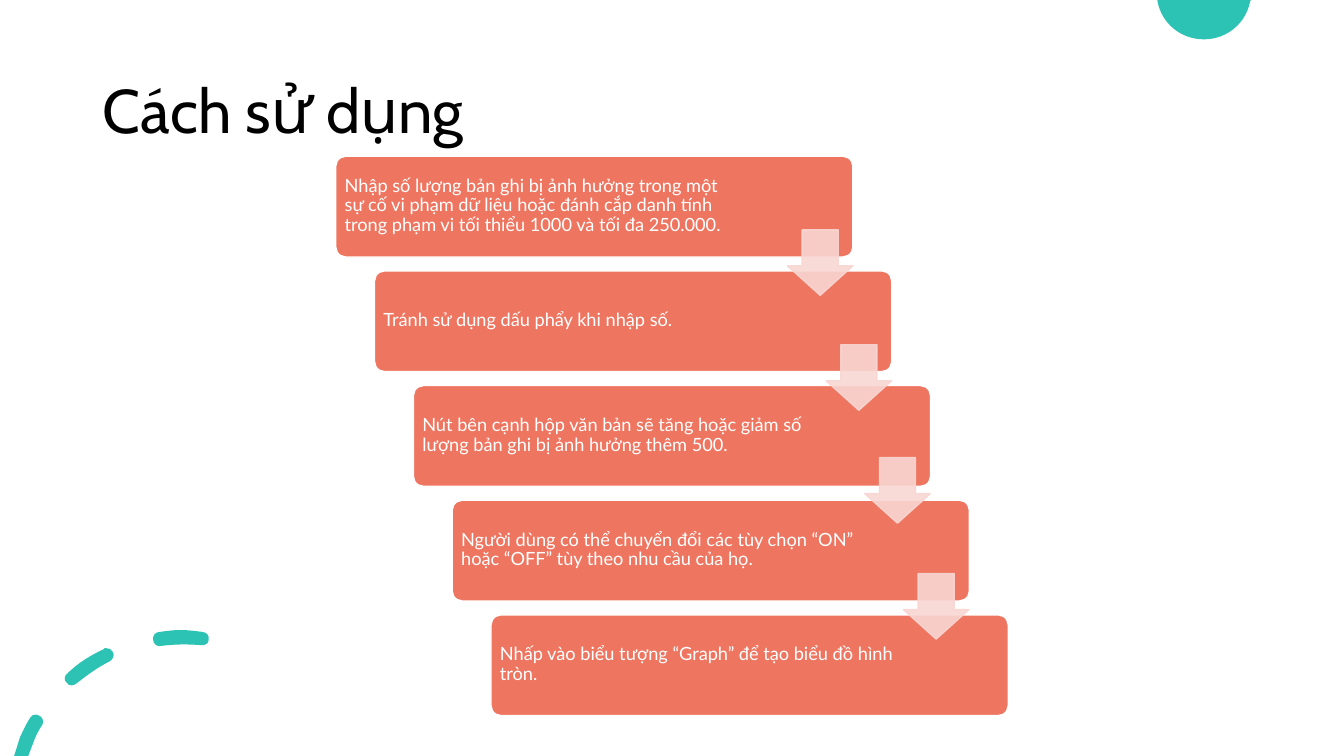
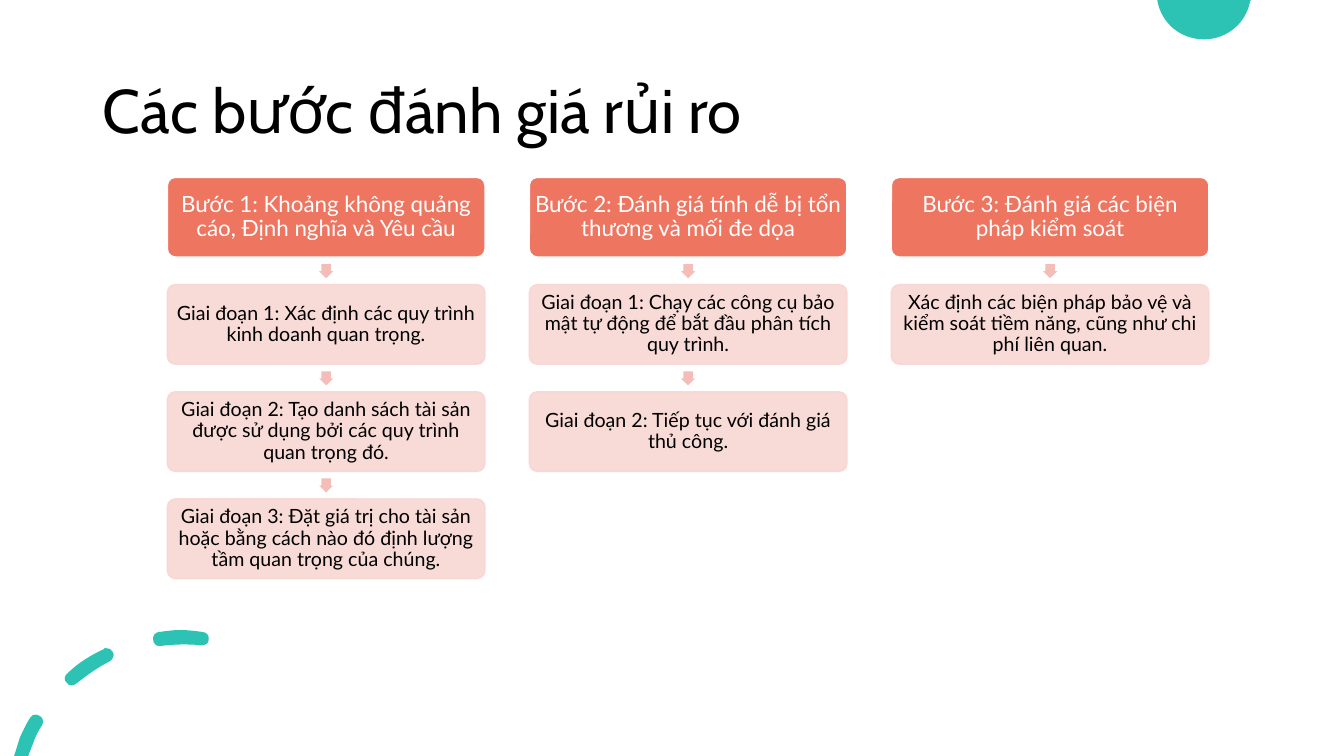
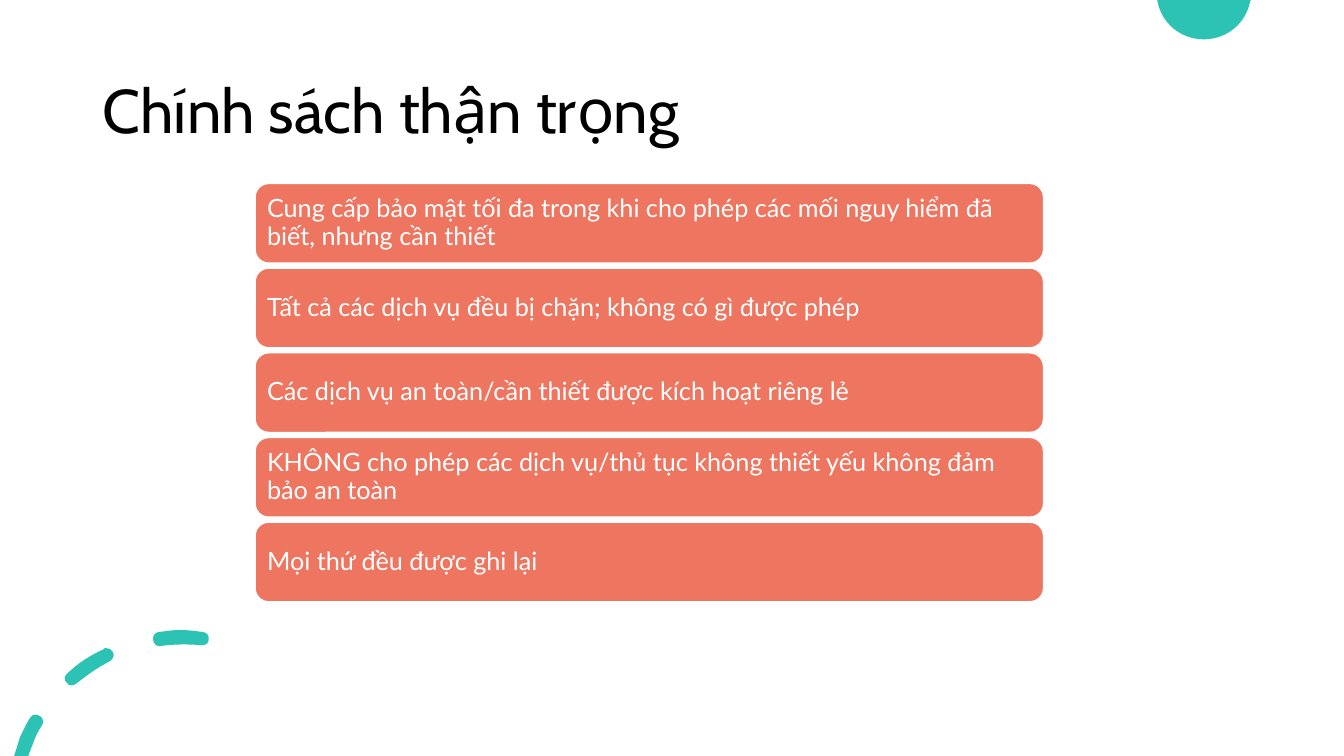
from collections import namedtuple

from lxml import etree
from pptx import Presentation
from pptx import util as u
from pptx.dml.color import RGBColor
from pptx.enum import shapes, text
from pptx.oxml.ns import qn

Theme = namedtuple("Theme", "teal coral pink arrow white black heading body title_size step_size head_size stage_size policy_size")
THEME = Theme(
    teal="2CC3B4", coral="EE7661", pink="F8D6D2", arrow="F5BDB7", white="FFFFFF", black="000000",
    heading="Cabin", body="Lato",
    title_size=44, step_size=13, head_size=16, stage_size=14, policy_size=18,
)

USAGE = (
    "Cách sử dụng",
    [
        "Nhập số lượng bản ghi bị ảnh hưởng trong một sự cố vi phạm dữ liệu hoặc đánh cắp danh tính trong phạm vi tối thiểu 1000 và tối đa 250.000.",
        "Tránh sử dụng dấu phẩy khi nhập số.",
        "Nút bên cạnh hộp văn bản sẽ tăng hoặc giảm số lượng bản ghi bị ảnh hưởng thêm 500.",
        "Người dùng có thể chuyển đổi các tùy chọn “ON” hoặc “OFF” tùy theo nhu cầu của họ.",
        "Nhấp vào biểu tượng “Graph” để tạo biểu đồ hình tròn.",
    ],
)

ASSESSMENT = (
    "Các bước đánh giá rủi ro",
    [
        [
            "Bước 1: Khoảng không quảng cáo, Định nghĩa và Yêu cầu",
            "Giai đoạn 1: Xác định các quy trình kinh doanh quan trọng.",
            "Giai đoạn 2: Tạo danh sách tài sản được sử dụng bởi các quy trình quan trọng đó.",
            "Giai đoạn 3: Đặt giá trị cho tài sản hoặc bằng cách nào đó định lượng tầm quan trọng của chúng.",
        ],
        [
            "Bước 2: Đánh giá tính dễ bị tổn thương và mối đe dọa",
            "Giai đoạn 1: Chạy các công cụ bảo mật tự động để bắt đầu phân tích quy trình.",
            "Giai đoạn 2: Tiếp tục với đánh giá thủ công.",
        ],
        [
            "Bước 3: Đánh giá các biện pháp kiểm soát",
            "Xác định các biện pháp bảo vệ và kiểm soát tiềm năng, cũng như chi phí liên quan.",
        ],
    ],
)

POLICY = (
    "Chính sách thận trọng",
    [
        "Cung cấp bảo mật tối đa trong khi cho phép các mối nguy hiểm đã biết, nhưng cần thiết",
        "Tất cả các dịch vụ đều bị chặn; không có gì được phép",
        "Các dịch vụ an toàn/cần thiết được kích hoạt riêng lẻ",
        "KHÔNG cho phép các dịch vụ/thủ tục không thiết yếu không đảm bảo an toàn",
        "Mọi thứ đều được ghi lại",
    ],
)

TOP_DISC = [
    [(11.48, 0), (12.41, 0), (12.4, 0.01), (12.36, 0.23, 12.17, 0.39, 11.94, 0.39),
     (11.71, 0.39, 11.52, 0.23, 11.48, 0.01)],
]
DASHED_ARC = [
    [(0.36, 7.09), (0.34, 7.08, 0.31, 7.1, 0.3, 7.12), (0.26, 7.18, 0.23, 7.25, 0.2, 7.31),
     (0.14, 7.5), (0.28, 7.5), (0.33, 7.37), (0.35, 7.31, 0.38, 7.25, 0.42, 7.19),
     (0.44, 7.16, 0.42, 7.11, 0.39, 7.1), (0.38, 7.09, 0.37, 7.09, 0.36, 7.09)],
    [(1.05, 6.43), (1.04, 6.43, 1.03, 6.43, 1.03, 6.44), (0.9, 6.5, 0.77, 6.58, 0.67, 6.68),
     (0.64, 6.7, 0.63, 6.75, 0.66, 6.77), (0.67, 6.79, 0.69, 6.8, 0.71, 6.8),
     (0.73, 6.8, 0.74, 6.79, 0.76, 6.78), (0.86, 6.7, 0.97, 6.62, 1.09, 6.56),
     (1.12, 6.54, 1.14, 6.5, 1.12, 6.47), (1.11, 6.44, 1.08, 6.43, 1.05, 6.43)],
    [(1.79, 6.25), (1.72, 6.25, 1.65, 6.26, 1.58, 6.27), (1.54, 6.27, 1.51, 6.31, 1.52, 6.35),
     (1.52, 6.38, 1.55, 6.41, 1.58, 6.41), (1.73, 6.39, 1.86, 6.39, 1.99, 6.4),
     (2.03, 6.41, 2.07, 6.38, 2.07, 6.35), (2.08, 6.31, 2.05, 6.27, 2.01, 6.27),
     (1.94, 6.26, 1.86, 6.25, 1.79, 6.25)],
]


def spread(first, last, count):
    return [first + (last - first) * i / (count - 1) for i in range(count)]


def paint(shape, fill, line=None, opacity=100):
    shape.shadow.inherit = False
    shape.fill.solid()
    shape.fill.fore_color.rgb = RGBColor.from_string(fill)
    if line:
        shape.line.color.rgb = RGBColor.from_string(line)
        shape.line.width = u.Pt(1)
    else:
        shape.line.fill.background()
    if opacity < 100:
        for color in shape._element.spPr.iter(qn("a:srgbClr")):
            etree.SubElement(color, qn("a:alpha")).set("val", str(opacity * 1000))


def bend(shape, outlines):
    segments = [segment for outline in outlines for segment in outline[1:]]
    for straight, segment in zip(list(shape._element.iter(qn("a:lnTo"))), segments):
        if len(segment) == 2:
            continue
        straight.tag = qn("a:cubicBezTo")
        for i in (2, 0):
            control = etree.Element(qn("a:pt"))
            control.set("x", str(u.Inches(segment[i]) - shape.left))
            control.set("y", str(u.Inches(segment[i + 1]) - shape.top))
            straight.insert(0, control)


def add_ornament(page, outlines):
    builder = None
    for outline in outlines:
        start, *ends = [tuple(map(u.Inches, segment[-2:])) for segment in outline]
        if builder is None:
            builder = page.shapes.build_freeform(*start)
        else:
            builder.move_to(*start)
        builder.add_line_segments(ends, close=True)
    shape = builder.convert_to_shape()
    bend(shape, outlines)
    paint(shape, THEME.teal)


def write_text(box, words, size, color, font=THEME.body, align=text.PP_ALIGN.LEFT, insets=(0.1, 0.05, 0.1, 0.05)):
    frame = box.text_frame
    frame.word_wrap = True
    frame.vertical_anchor = text.MSO_ANCHOR.MIDDLE
    frame.margin_left, frame.margin_top, frame.margin_right, frame.margin_bottom = map(u.Inches, insets)
    para = frame.paragraphs[0]
    para.alignment = align
    para.line_spacing = 0.9
    span = para.add_run()
    span.text = words
    span.font.size = u.Pt(size)
    span.font.name = font
    span.font.color.rgb = RGBColor.from_string(color)


def add_shape(page, kind, at, adjust, fill, line=None, opacity=100):
    shape = page.shapes.add_shape(kind, *map(u.Inches, at))
    for i, value in enumerate(adjust):
        shape.adjustments[i] = value
    paint(shape, fill, line, opacity)
    return shape


def add_card(page, at, words, size, insets, corner=0.1, **format):
    card = add_shape(page, shapes.MSO_SHAPE.ROUNDED_RECTANGLE, at, [corner], THEME.coral, THEME.white)
    write_text(card, words, size, THEME.white, insets=insets, **format)


def add_page(deck, title):
    page = deck.slides.add_slide(deck.slide_layouts[6])
    add_ornament(page, TOP_DISC)
    add_ornament(page, DASHED_ARC)
    box = page.shapes.add_textbox(*map(u.Inches, (0.92, 0.4, 11.5, 1.45)))
    write_text(box, title, THEME.title_size, THEME.black, font=THEME.heading)
    return page


def build_usage(deck):
    title, steps = USAGE
    page = add_page(deck, title)
    count = len(steps)
    for i, (left, top, step) in enumerate(zip(spread(3.33, 4.87, count), spread(1.55, 6.1, count), steps)):
        right_inset = 1.17 if i == 0 else 1.07
        add_card(page, (left, top, 5.13, 1), step, THEME.step_size, (0.06, 0.05, right_inset, 0.06))
    for left, top in zip(spread(7.81, 8.96, count - 1), (2.28, 3.42, 4.54, 5.69)):
        add_shape(page, shapes.MSO_SHAPE.DOWN_ARROW, (left, top, 0.65, 0.65), [0.55, 0.45],
                  THEME.pink, THEME.pink, opacity=90)


def build_assessment(deck):
    title, columns = ASSESSMENT
    page = add_page(deck, title)
    width, height, arrow = 3.15, 0.79, 0.14
    rows = spread(1.76, 4.95, max(map(len, columns)))
    format = dict(insets=(0.02,) * 4, align=text.PP_ALIGN.CENTER)
    for left, (head, *stages) in zip(spread(1.66, 8.84, len(columns)), columns):
        add_card(page, (left, rows[0], width, height), head, THEME.head_size, **format)
        for above, top, stage in zip(rows, rows[1:], stages):
            add_shape(page, shapes.MSO_SHAPE.DOWN_ARROW,
                      (left + (width - arrow) / 2, above + height + 0.07, arrow, arrow), [0.67, 0.5], THEME.arrow)
            box = add_shape(page, shapes.MSO_SHAPE.ROUNDED_RECTANGLE, (left, top, width, height), [0.1],
                            THEME.pink, THEME.pink, opacity=90)
            write_text(box, stage, THEME.stage_size, THEME.black, **format)


def build_policy(deck):
    title, rules = POLICY
    page = add_page(deck, title)
    for top, rule in zip(spread(1.82, 5.18, len(rules)), rules):
        add_card(page, (2.53, top, 7.82, 0.79), rule, THEME.policy_size, (0.08, 0.07, 0.07, 0.07), corner=0.17)


def main():
    deck = Presentation()
    deck.slide_width, deck.slide_height = u.Inches(13.33), u.Inches(7.5)
    build_usage(deck)
    build_assessment(deck)
    build_policy(deck)
    deck.save("out.pptx")


if __name__ == "__main__":
    main()
